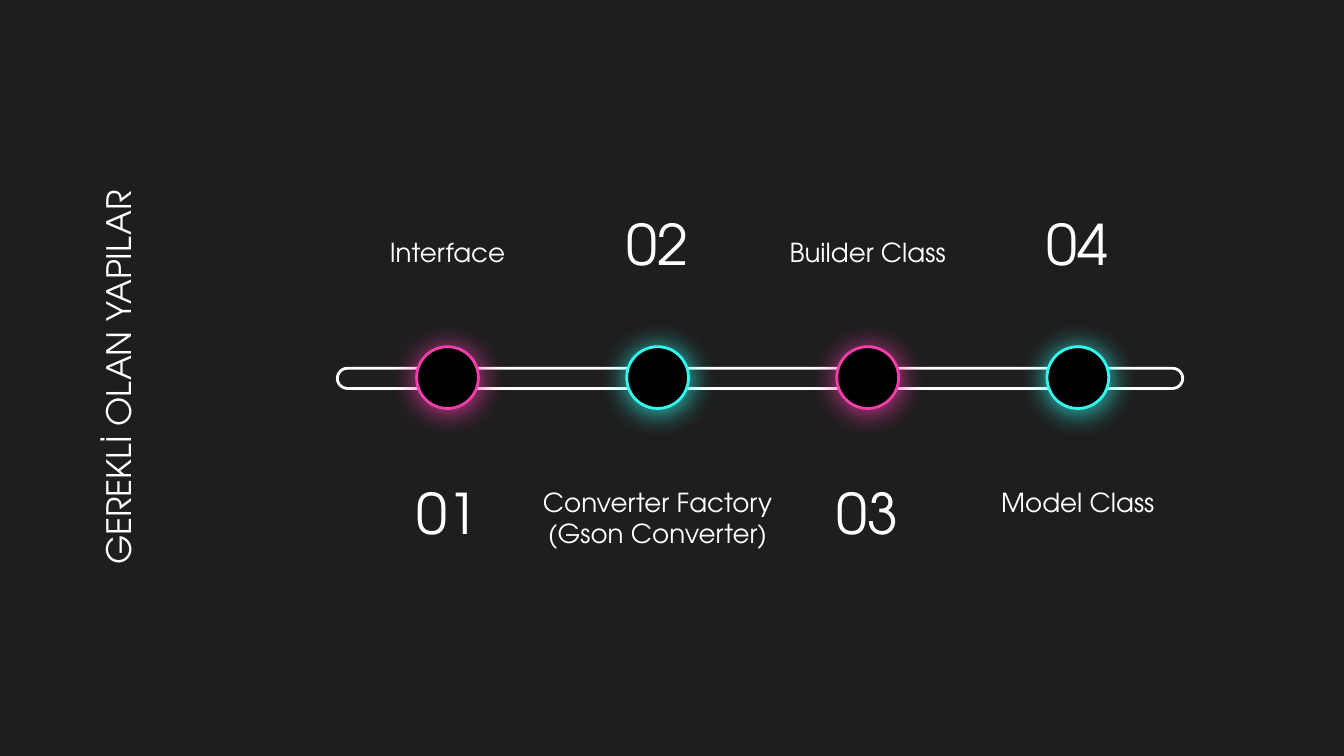
"""Build a four-step neon timeline slide of required structures."""
from typing import NamedTuple

import lxml.etree
import pptx
import pptx.dml.color
import pptx.enum.shapes
import pptx.enum.text
import pptx.oxml.ns
import pptx.util

FONT = "TeX Gyre Adventor"
WHITE, BLACK, BACKDROP = "FFFFFF", "000000", "1E1E1E"
PINK, CYAN = "F73CAB", "30FCF1"
WIDTH = 10
HEIGHT = WIDTH * 9 / 16
FIRST_CENTER, LAST_CENTER = 3.33, 8.02
CAPTION_WIDTH, CAPTION_HEIGHT = 2.08, 0.63
UPPER_TOP, LOWER_TOP, NUMBER_LIFT = 1.46, 3.52, 0.06
NODE_SIZE, NODE_TOP = 0.46, 2.58
ANCHOR = pptx.enum.text.MSO_ANCHOR
SHAPE = pptx.enum.shapes.MSO_SHAPE


class Box(NamedTuple):
    """A rectangle in inches."""
    left: float
    top: float
    width: float
    height: float

    def lengths(self) -> list:
        """Return the four sides as slide lengths."""
        return [pptx.util.Inches(side) for side in self]


class Step(NamedTuple):
    """One stop on the timeline."""
    number: str
    label: str
    color: str
    label_above: bool


STEPS = [
    Step("01", "Interface", PINK, True),
    Step("02", "Converter Factory\n(Gson Converter)", CYAN, False),
    Step("03", "Builder Class", PINK, True),
    Step("04", "Model Class", CYAN, False),
]
PITCH = (LAST_CENTER - FIRST_CENTER) / (len(STEPS) - 1)


def rgb(code: str) -> pptx.dml.color.RGBColor:
    """Turn a hex string into a colour."""
    return pptx.dml.color.RGBColor.from_string(code)


def write(frame, text: str, size: float, anchor) -> None:
    """Write one centred white paragraph into a text frame."""
    frame.word_wrap = True
    frame.auto_size = pptx.enum.text.MSO_AUTO_SIZE.NONE
    frame.vertical_anchor = anchor
    frame.margin_left = frame.margin_right = pptx.util.Inches(0.1)
    frame.margin_top = frame.margin_bottom = pptx.util.Inches(0.1)
    paragraph = frame.paragraphs[0]
    paragraph.text = text
    paragraph.alignment = pptx.enum.text.PP_ALIGN.CENTER
    paragraph.font.name = FONT
    paragraph.font.size = pptx.util.Pt(size)
    paragraph.font.color.rgb = rgb(WHITE)


def add_caption(slide, center: float, top: float, text: str, size: float, anchor) -> None:
    """Add a text box centred on a timeline column."""
    box = Box(center - CAPTION_WIDTH / 2, top, CAPTION_WIDTH, CAPTION_HEIGHT)
    write(slide.shapes.add_textbox(*box.lengths()).text_frame, text, size, anchor)


def add_outlined(slide, kind, box: Box, line: str):
    """Add an unfilled preset shape with a coloured outline."""
    shape = slide.shapes.add_shape(kind, *box.lengths())
    shape.shadow.inherit = False
    shape.fill.background()
    shape.line.color.rgb = rgb(line)
    shape.line.width = pptx.util.Pt(1.5)
    return shape


def add_glow(shape, color: str) -> None:
    """Give a shape a soft coloured outer shadow."""
    qn = pptx.oxml.ns.qn
    effects = shape._element.spPr.find(qn("a:effectLst"))
    shadow = lxml.etree.SubElement(
        effects, qn("a:outerShdw"), blurRad=str(pptx.util.Pt(15.8)),
        dist=str(pptx.util.Pt(1.5)), dir=str(72 * 60000),
        algn="bl", rotWithShape="0")
    tint = lxml.etree.SubElement(shadow, qn("a:srgbClr"), val=color)
    lxml.etree.SubElement(tint, qn("a:alpha"), val="88000")


def add_step(slide, column: int, step: Step) -> None:
    """Draw a step's node, number and label."""
    center = FIRST_CENTER + column * PITCH
    if step.label_above:
        label_top, number_top = UPPER_TOP, LOWER_TOP - NUMBER_LIFT
        label_anchor = ANCHOR.BOTTOM
    else:
        label_top, number_top = LOWER_TOP, UPPER_TOP
        label_anchor = ANCHOR.TOP
    add_caption(slide, center, label_top, step.label, 14, label_anchor)
    add_caption(slide, center, number_top, step.number, 30, ANCHOR.TOP)
    box = Box(center - NODE_SIZE / 2, NODE_TOP, NODE_SIZE, NODE_SIZE)
    node = add_outlined(slide, SHAPE.OVAL, box, step.color)
    node.fill.solid()
    node.fill.fore_color.rgb = rgb(BLACK)
    add_glow(node, step.color)


def main() -> None:
    """Build and save the slide."""
    deck = pptx.Presentation()
    deck.slide_width = pptx.util.Inches(WIDTH)
    deck.slide_height = pptx.util.Inches(HEIGHT)
    slide = deck.slides.add_slide(deck.slide_layouts[5])
    slide.background.fill.solid()
    slide.background.fill.fore_color.rgb = rgb(BACKDROP)

    title = slide.shapes.title
    title.left, title.top, title.width, title.height = Box(-1.12, 2.46, 4, 0.7).lengths()
    title.rotation = 270
    write(title.text_frame, "GEREKLİ OLAN YAPILAR", 18, ANCHOR.MIDDLE)

    track = add_outlined(slide, SHAPE.ROUNDED_RECTANGLE, Box(2.51, 2.74, 6.29, 0.15), WHITE)
    track.adjustments[0] = 0.5
    for column, step in enumerate(STEPS):
        add_step(slide, column, step)
    deck.save("out.pptx")


if __name__ == "__main__":
    main()
